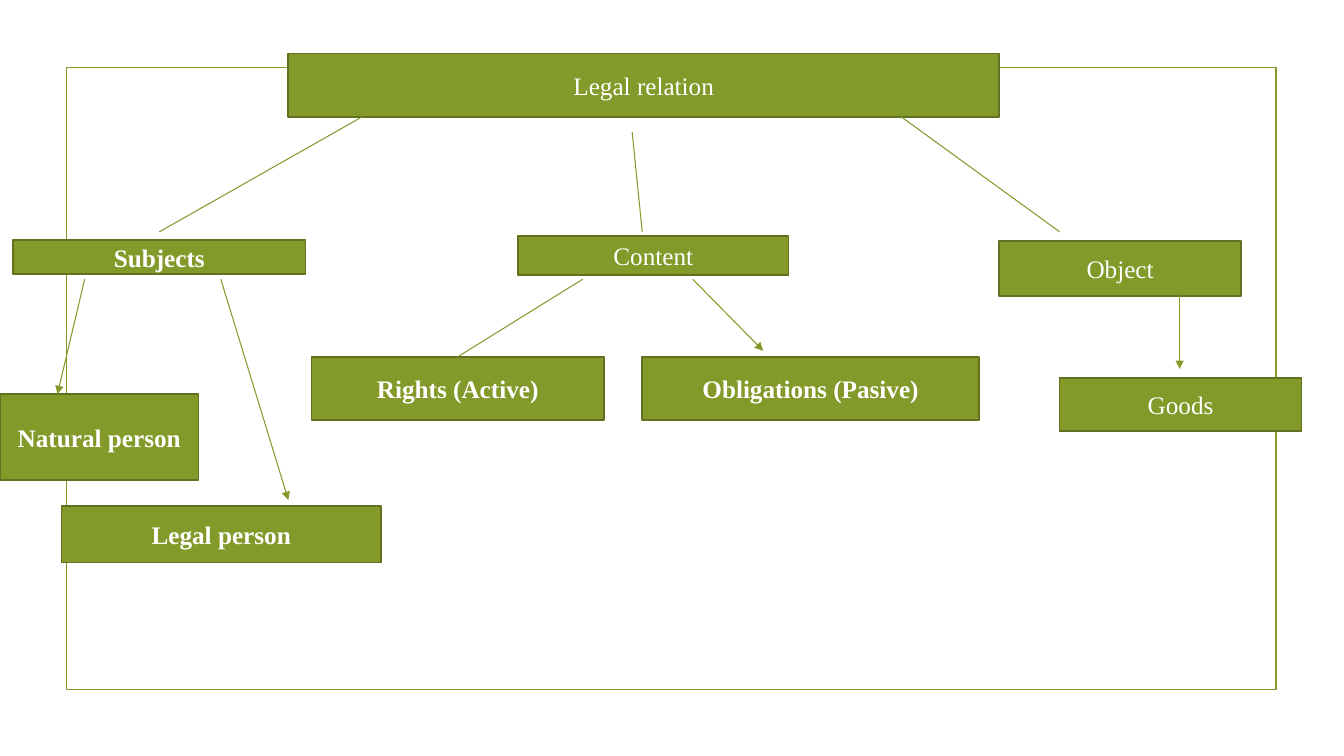
import pptx
import pptx.util
import pptx.dml.color
import pptx.enum.shapes
import pptx.enum.text
import pptx.oxml
import pptx.oxml.ns

Inches = pptx.util.Inches
GREEN = "83992A"
DARK_GREEN = "61711F"
WHITE = "FFFFFF"


def color(hex_string):
    return pptx.dml.color.RGBColor.from_string(hex_string)


def add_rectangle(slide, bounds, line_color):
    box = slide.shapes.add_shape(
        pptx.enum.shapes.MSO_SHAPE.RECTANGLE, *[Inches(value) for value in bounds]
    )
    box.shadow.inherit = False
    box.line.color.rgb = color(line_color)
    box.line.width = pptx.util.Pt(1.25)
    return box


deck = pptx.Presentation()
deck.slide_width = Inches(13.33)
deck.slide_height = Inches(7.5)
slide = deck.slides.add_slide(deck.slide_layouts[6])

frame = add_rectangle(slide, (0.66, 0.67, 12, 6.17), GREEN)
frame.fill.background()

labels = [
    ("Legal relation", (2.86, 0.53, 7.05, 0.63), False),
    ("Subjects", (0.13, 2.38, 2.9, 0.34), True),
    ("Content", (5.14, 2.34, 2.68, 0.39), False),
    ("Object", (9.91, 2.39, 2.4, 0.55), False),
    ("Natural person", (0, 3.91, 1.97, 0.85), True),
    ("Legal person", (0.61, 5.02, 3.17, 0.56), True),
    ("Rights (Active)", (3.09, 3.54, 2.9, 0.63), True),
    ("Obligations (Pasive)", (6.37, 3.54, 3.34, 0.63), True),
    ("Goods", (10.51, 3.75, 2.4, 0.53), False),
]
font_format = {"name": "Times New Roman", "size": pptx.util.Pt(18)}
boxes = {}
for text, bounds, bold in labels:
    box = add_rectangle(slide, bounds, DARK_GREEN)
    box.fill.solid()
    box.fill.fore_color.rgb = color(GREEN)
    box.text_frame.word_wrap = True
    box.text_frame.vertical_anchor = pptx.enum.text.MSO_ANCHOR.MIDDLE
    para = box.text_frame.paragraphs[0]
    para.alignment = pptx.enum.text.PP_ALIGN.CENTER
    span = para.add_run()
    span.text = text
    for name, value in font_format.items():
        setattr(span.font, name, value)
    span.font.bold = bold
    span.font.color.rgb = color(WHITE)
    boxes[text] = box

links = [
    ((3.59, 1.16), (1.58, 2.3), False, None),
    ((6.27, 1.31), (6.37, 2.3), False, None),
    ((8.94, 1.16), (10.51, 2.3), False, None),
    ((0.84, 2.77), (0.57, 3.91), True, None),
    ((2.19, 2.77), (2.86, 4.96), True, None),
    ((5.78, 2.77), (4.54, 3.54), False, "Rights (Active)"),
    ((6.87, 2.77), (7.57, 3.48), True, None),
    ((11.7, 2.77), (11.7, 3.66), True, None),
]
for start, end, has_arrow, target in links:
    link = slide.shapes.add_connector(
        pptx.enum.shapes.MSO_CONNECTOR.STRAIGHT,
        *[Inches(value) for value in start + end],
    )
    link.line.color.rgb = color(GREEN)
    link.line.width = pptx.util.Pt(0.75)
    if target:
        link.end_connect(boxes[target], 0)
    if has_arrow:
        arrowhead = pptx.oxml.parse_xml(
            f'<a:tailEnd {pptx.oxml.ns.nsdecls("a")} type="triangle"/>'
        )
        link.line._get_or_add_ln().append(arrowhead)
    link._element.spPr.append(
        pptx.oxml.parse_xml(f'<a:effectLst {pptx.oxml.ns.nsdecls("a")}/>')
    )

deck.save("out.pptx")
